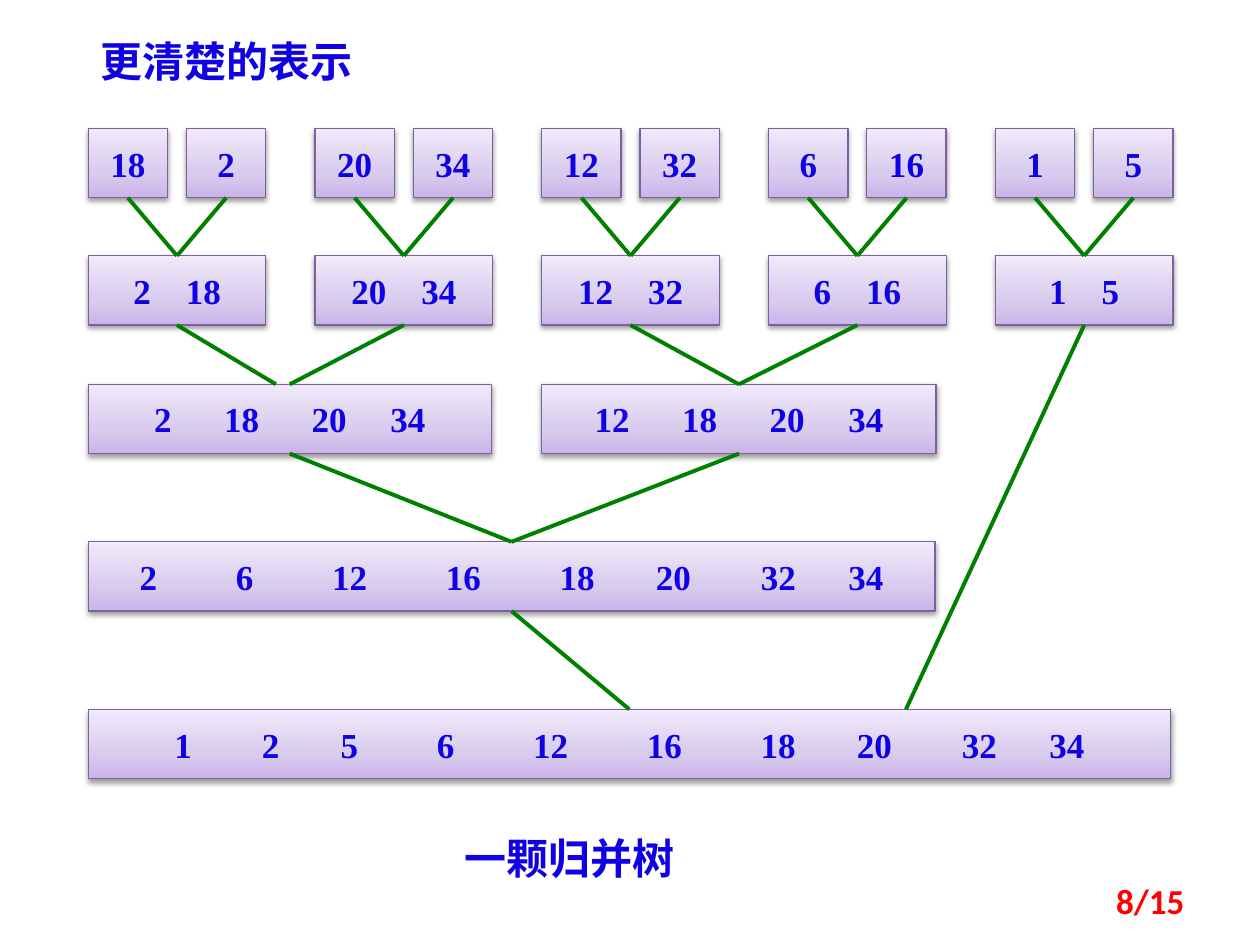
from copy import deepcopy
from dataclasses import dataclass

from pptx import Presentation
from pptx import util as u
from pptx.dml.color import RGBColor
from pptx.enum import shapes, text
from pptx.oxml import parse_xml
from pptx.oxml.ns import nsdecls, qn


@dataclass(frozen=True)
class Theme:
    ink: str = "1000E4"
    edge: str = "7D60A0"
    link: str = "008000"
    page: str = "FF0000"
    fade: tuple = ((0, "C9B5E8"), (0.35, "D8CBEE"), (1, "F0EAF9"))
    serif: str = "Times New Roman"
    sans: str = "Calibri"
    cjk: str = "Noto Sans CJK SC"
    big: int = 24
    body: int = 20


T = Theme()
LEFT, PITCH, STEP = 0.7, 1.8, 0.78
HIGH, UNIT, PAIR = 0.55, 0.63, 1.41
# Each leaf pair, then the merged pair below it
LEAVES = [((18, 2), (2, 18)), ((20, 34), (20, 34)), ((12, 32), (12, 32)),
          ((6, 16), (6, 16)), ((1, 5), (1, 5))]
DIGIT, SPACE = T.body / 2 / 72, T.body / 4 / 72


def write(frame, words, font=T.serif, size=T.body, color=T.ink, bold=True,
          align=None, anchor=None, stops=()):
    """Fill a text frame with one line; stops are left tab stops in inches."""
    frame.word_wrap = True
    if anchor is not None:
        frame.vertical_anchor = anchor
    para = frame.paragraphs[0]
    if align is not None:
        para.alignment = align
    if stops:
        tabs = "".join(f'<a:tab pos="{u.Inches(s)}" algn="l"/>' for s in stops)
        props = para._p.get_or_add_pPr()
        props.append(parse_xml(f'<a:tabLst {nsdecls("a")}>{tabs}</a:tabLst>'))
    run = para.add_run()
    run.text = words
    run.font.name, run.font.size, run.font.bold = font, u.Pt(size), bold
    run.font.color.rgb = RGBColor.from_string(color)
    face = parse_xml(f'<a:ea {nsdecls("a")} typeface="{font}"/>')
    run.font._element.find(qn("a:latin")).addnext(face)


def label(slide, words, x, y, w, h, **style):
    box = slide.shapes.add_textbox(*map(u.Inches, (x, y, w, h)))
    write(box.text_frame, words, **style)


def paint(box):
    """Give a box its fading fill, thin edge and soft shadow."""
    box.fill.gradient()
    box.fill.gradient_angle = 90
    props = box._element.spPr
    stops = props.find(f'{qn("a:gradFill")}/{qn("a:gsLst")}')
    stops.append(deepcopy(stops[0]))
    for stop, (pos, color) in zip(box.fill.gradient_stops, T.fade):
        stop.position = pos
        stop.color.rgb = RGBColor.from_string(color)
    box.line.color.rgb = RGBColor.from_string(T.edge)
    box.line.width = u.Pt(0.75)
    box.shadow.inherit = False
    props.find(qn("a:effectLst")).append(parse_xml(
        f'<a:outerShdw {nsdecls("a")} blurRad="{u.Pt(3.1)}" dist="{u.Pt(1.6)}" '
        'dir="5400000" rotWithShape="0"><a:srgbClr val="000000">'
        '<a:alpha val="38000"/></a:srgbClr></a:outerShdw>'))


def node(slide, nums, x, y, w, gaps=()):
    """Draw a box of numbers; gaps are counted in widths of a space."""
    box = slide.shapes.add_shape(shapes.MSO_SHAPE.RECTANGLE,
                                 *map(u.Inches, (x, y, w, HIGH)))
    paint(box)
    words = [str(n) for n in nums]
    starts = [0]
    for word, gap in zip(words, gaps):
        starts.append(starts[-1] + len(word) * DIGIT + gap * SPACE)
    frame, align = box.text_frame, text.PP_ALIGN.CENTER
    if gaps:
        align = text.PP_ALIGN.LEFT
        span = starts[-1] + len(words[-1]) * DIGIT
        frame.margin_left, frame.margin_right = u.Inches((w - span) / 2), 0
    write(frame, "\t".join(words), align=align, stops=starts[1:],
          anchor=text.MSO_ANCHOR.MIDDLE)
    return box


def link(slide, top, low, x=None):
    """Join a box to the one below, at its top middle or at x inches."""
    end = 0 if x is None else u.Inches(x)
    line = slide.shapes.add_connector(shapes.MSO_CONNECTOR.STRAIGHT,
                                      0, 0, end, low.top)
    line.begin_connect(top, 2)
    if x is None:
        line.end_connect(low, 0)
    line.line.color.rgb = RGBColor.from_string(T.link)
    line.line.width = u.Pt(2.25)
    line._element.spPr.append(parse_xml(f'<a:effectLst {nsdecls("a")}/>'))


def main():
    deck = Presentation()
    deck.slide_width, deck.slide_height = u.Inches(10), u.Inches(7.5)
    slide = deck.slides.add_slide(deck.slide_layouts[6])

    pairs = []
    for col, (raw, done) in enumerate(LEAVES):
        x = LEFT + col * PITCH
        pair = node(slide, done, x, 2.03, PAIR, gaps=(4,))
        for i, num in enumerate(raw):
            link(slide, node(slide, [num], x + i * STEP, 1.02, UNIT), pair)
        pairs.append(pair)

    four = node(slide, (2, 18, 20, 34), LEFT, 3.05, 3.2, gaps=(6, 6, 5))
    next4 = node(slide, (12, 18, 20, 34), LEFT + 2 * PITCH, 3.05, 3.13,
                 gaps=(6, 6, 5))
    eight = node(slide, (2, 6, 12, 16, 18, 20, 32, 34), LEFT, 4.3, 6.72,
                 gaps=(9, 9, 9, 9, 7, 8, 6))
    final = node(slide, (1, 2, 5, 6, 12, 16, 18, 20, 32, 34), LEFT, 5.63, 8.59,
                 gaps=(8, 7, 9, 9, 9, 9, 7, 8, 6))

    for top, low, x in ((pairs[0], four, 2.19), (pairs[1], four, None),
                        (pairs[2], next4, None), (pairs[3], next4, None),
                        (four, eight, None), (next4, eight, None),
                        (eight, final, None), (pairs[4], final, 7.19)):
        link(slide, top, low, x)

    label(slide, "更清楚的表示", LEFT, 0.23, 2.5, 0.5, font=T.cjk, size=T.big)
    label(slide, "一颗归并树", 3.59, 6.56, 2.58, 0.5, font=T.cjk, size=T.big)
    label(slide, "8/15", 7.17, 6.95, 2.33, 0.4, font=T.sans, color=T.page,
          align=text.PP_ALIGN.RIGHT, anchor=text.MSO_ANCHOR.MIDDLE)
    deck.save("out.pptx")


if __name__ == "__main__":
    main()
